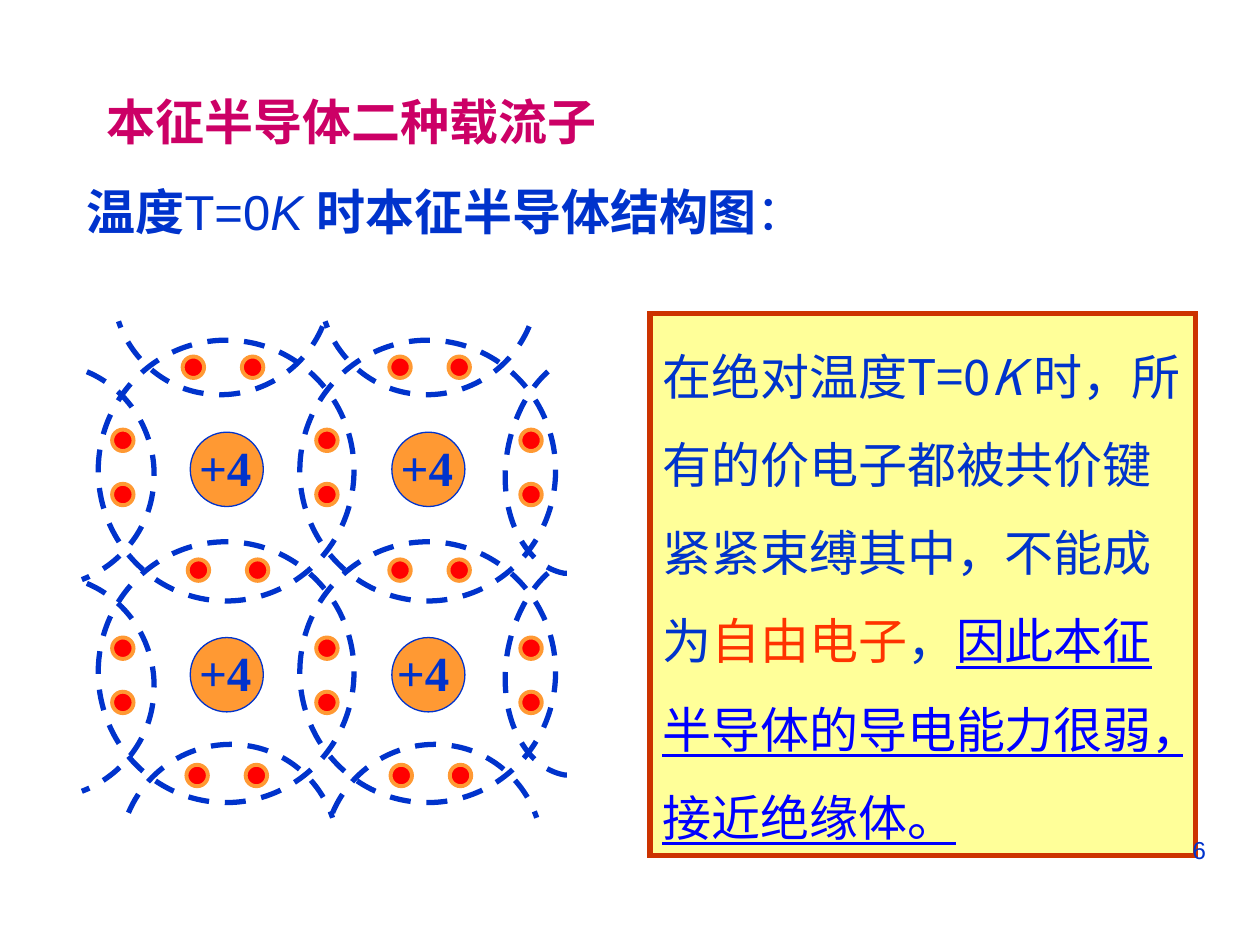
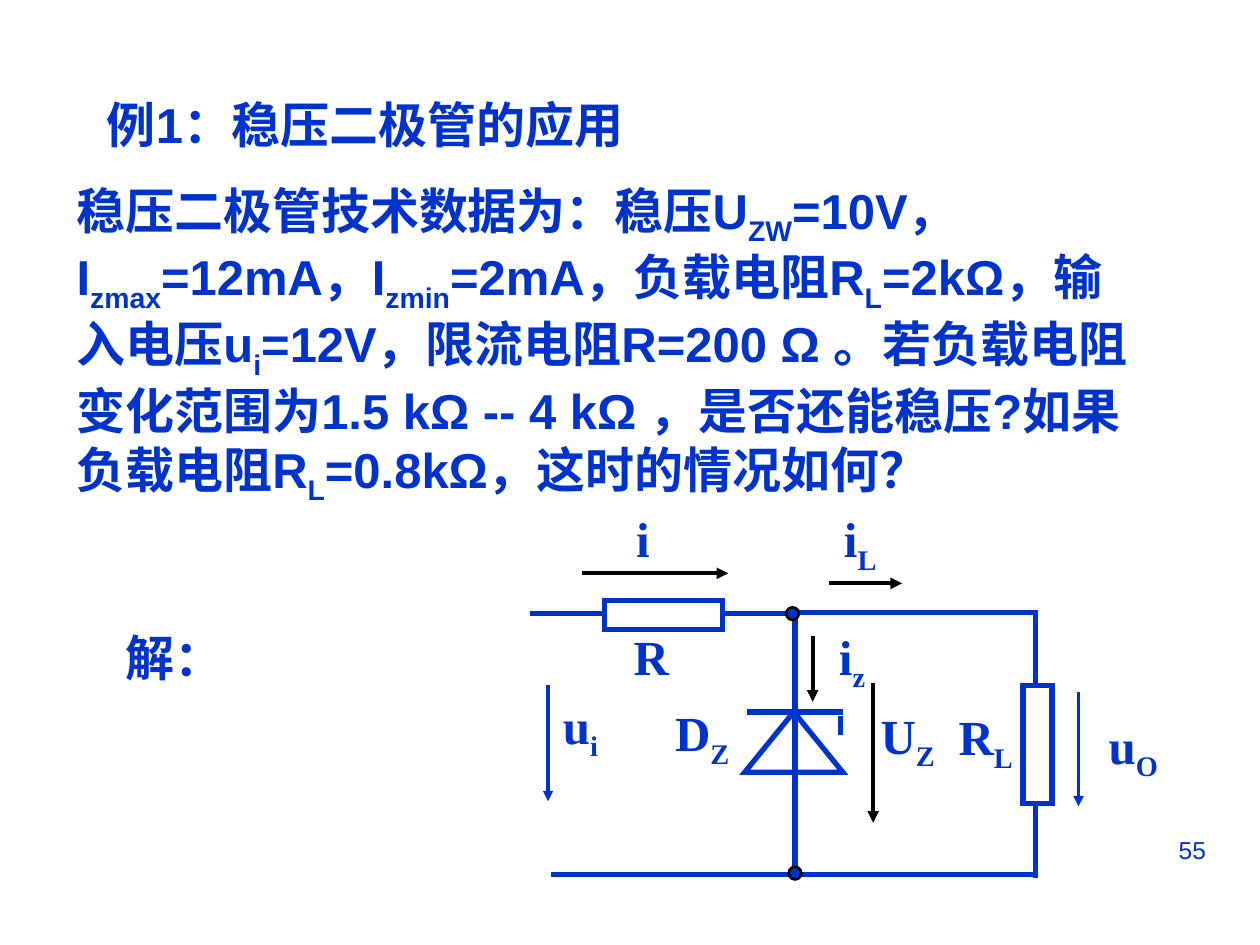
from dataclasses import dataclass
from itertools import product
from math import cos, radians, sin

from lxml.etree import SubElement
from pptx import Presentation
from pptx.dml.color import RGBColor
from pptx.enum.dml import MSO_LINE_DASH_STYLE as Dash
from pptx.enum.shapes import MSO_CONNECTOR, MSO_SHAPE as Shape
from pptx.enum.text import MSO_ANCHOR, MSO_AUTO_SIZE, PP_ALIGN
from pptx.oxml.ns import qn
from pptx.util import Inches, Pt


@dataclass(frozen=True)
class Theme:
    blue: str = "0033CC"
    link: str = "0000FF"
    magenta: str = "CC0066"
    orange: str = "FF9933"
    red: str = "FF0000"
    highlight: str = "FF3300"
    panel: str = "FFFF99"
    panel_border: str = "CC3300"
    black: str = "000000"
    sans: str = "Arial"
    serif: str = "Times New Roman"
    chinese: str = "Noto Sans CJK SC"
    body_size: int = 28
    number_size: int = 14
    thick: float = 3
    medium: float = 2.25
    thin: float = 2


THEME = Theme()

CARRIERS = {
    "number": "6",
    "title": "本征半导体二种载流子",
    "subtitle": [
        ("温度", {"bold": True}),
        ("T=0", {}),
        ("K ", {"italic": True}),
        ("时本征半导体结构图", {"bold": True}),
        ("：", {}),
    ],
    "panel": [
        ("在绝对温度T=0", {}),
        ("K ", {"italic": True}),
        ("时，所有的价电子都被共价键紧紧束缚其中，不能成为", {}),
        ("自由电子", {"color": THEME.highlight}),
        ("，", {}),
        ("因此本征半导体的导电能力很弱，接近绝缘体。",
         {"color": THEME.link, "underline": True}),
    ],
}
BOND_COLUMNS, BOND_ROWS = (0.78, 2.38), (2.7, 4.3)
ATOM_COLUMNS, ATOM_ROWS = (1.51, 3.11), (3.43, 5.06)
CHARGES = [(1.58, 3.47), (3.18, 3.47), (1.58, 5.1), (3.15, 5.1)]
ELECTRON = 0.17
ELECTRON_COLUMNS, ELECTRON_ROWS = (0.89, 2.51, 4.13), (3.41, 3.84, 5.06, 5.49)
ELECTRON_PAIRS = [(1.45, 2.83), (3.09, 2.83), (1.49, 4.44),
                  (3.09, 4.44), (1.48, 6.07), (3.1, 6.07)]
PAIR_GAP = 0.47
EDGE_BONDS = [
    {"turn": 10, "repeat": (0, 1.68), "hub": (0.35, 3.77),
     "curve": [(0.69, 2.95), (1.07, 3.11), (1.28, 3.52), (1.21, 3.92),
               (1.16, 4.23), (0.94, 4.49), (0.65, 4.6)]},
    {"turn": 190, "repeat": (0, 1.6), "hub": (4.64, 3.67),
     "curve": [(4.5, 4.55), (4.49, 4.55), (4.49, 4.55), (4.48, 4.55),
               (4.15, 4.49), (3.94, 4.05), (4.03, 3.56),
               (4.08, 3.3), (4.2, 3.07), (4.37, 2.93)]},
    {"turn": 100, "repeat": (1.64, 0), "hub": (1.76, 2.25),
     "curve": [(2.56, 2.59), (2.4, 2.97), (2, 3.19), (1.6, 3.12),
               (1.3, 3.07), (1.04, 2.85), (0.94, 2.55)]},
    {"turn": 280, "repeat": (1.62, 0), "hub": (1.82, 6.79),
     "curve": [(1.02, 6.45), (1.18, 6.07), (1.58, 5.85), (1.98, 5.92),
               (2.28, 5.97), (2.54, 6.19), (2.64, 6.49)]},
]

ZENER = {
    "number": "55",
    "title": "例1：稳压二极管的应用",
    "problem": "稳压二极管技术数据为：稳压U|ZW|=10V，I|zmax|=12mA，I|zmin|=2mA，"
               "负载电阻R|L|=2kΩ，输入电压u|i|=12V，限流电阻R=200 Ω 。"
               "若负载电阻变化范围为1.5 kΩ -- 4 kΩ ，是否还能稳压?"
               "如果负载电阻R|L|=0.8kΩ，这时的情况如何？",
    "answer": "解：",
}
WIRES = [
    ((4.82, 4.87), (4.21, 4.87)), ((6.34, 4.87), (5.73, 4.87)),
    ((6.31, 4.86), (8.2, 4.86)), ((8.22, 4.84), (8.22, 5.44)),
    ((8.22, 6.36), (8.22, 6.97)), ((8.2, 6.94), (4.37, 6.94)),
    ((6.31, 4.86), (6.31, 6.93)), ((5.93, 5.65), (6.69, 5.65)),
    ((6.67, 5.68), (6.67, 5.83)),
]
VOLTAGE_ARROWS = [((4.35, 5.44), (4.35, 6.36)), ((8.56, 5.49), (8.56, 6.4))]
CURRENT_ARROWS = [
    ((4.62, 4.55), (5.78, 4.55)), ((6.58, 4.63), (7.16, 4.63)),
    ((6.45, 5.05), (6.45, 5.57)), ((6.93, 5.42), (6.93, 6.53)),
]
PARTS = [
    (Shape.RECTANGLE, (5.15, 4.41, 0.23, 0.94), 90),
    (Shape.RECTANGLE, (8.12, 5.44, 0.23, 0.94), 0),
    (Shape.ISOSCELES_TRIANGLE, (5.91, 5.65, 0.78, 0.48), 0),
]
NODES = [(6.24, 4.82), (6.26, 6.88)]
CIRCUIT_LABELS = [
    ("i", 4.95, 3.99, 0.52), ("i|L", 6.6, 3.99, 0.6), ("i|z", 6.56, 4.92, 0.58),
    ("R", 4.93, 4.92, 0.65), ("R|L", 7.51, 5.56, 0.88), ("u|i", 4.37, 5.47, 0.9),
    ("u|O", 8.7, 5.63, 0.73), ("D|Z", 5.26, 5.53, 0.81), ("U|Z", 6.89, 5.55, 0.88),
]


def rgb(color):
    return RGBColor.from_string(color)


def subscripted(text, **style):
    return [(piece, {**style, "subscript": index % 2 == 1})
            for index, piece in enumerate(text.split("|"))]


def write(shape, runs, font=THEME.sans, size=THEME.body_size,
          margins=(0.1, 0.05, 0.1, 0.05), grow=True):
    frame = shape.text_frame
    frame.word_wrap = True
    frame.auto_size = MSO_AUTO_SIZE.SHAPE_TO_FIT_TEXT if grow else MSO_AUTO_SIZE.NONE
    (frame.margin_left, frame.margin_top,
     frame.margin_right, frame.margin_bottom) = map(Inches, margins)
    paragraph = frame.paragraphs[0]
    paragraph.alignment = PP_ALIGN.LEFT
    for text, style in runs:
        run = paragraph.add_run()
        run.text = text
        run.font.name = font
        run.font.size = Pt(size)
        run.font.bold = style.get("bold", False)
        run.font.italic = style.get("italic", False)
        run.font.underline = style.get("underline", False)
        run.font.color.rgb = rgb(style.get("color", THEME.blue))
        properties = run.font._element
        SubElement(properties, qn("a:ea")).set("typeface", THEME.chinese)
        if style.get("subscript"):
            properties.set("baseline", "-25000")
    return paragraph


def add_text(slide, box, runs, **options):
    return write(slide.shapes.add_textbox(*map(Inches, box)), runs, **options)


def paint(shape, fill=None, line=THEME.blue, width=THEME.thick, dashed=False):
    shape.shadow.inherit = False
    if fill:
        shape.fill.solid()
        shape.fill.fore_color.rgb = rgb(fill)
    else:
        shape.fill.background()
    shape.line.color.rgb = rgb(line)
    shape.line.width = Pt(width)
    if dashed:
        shape.line.dash_style = Dash.DASH
    SubElement(shape.line._get_or_add_ln(), qn("a:miter")).set("lim", "800000")


def add_part(slide, kind, box, **look):
    shape = slide.shapes.add_shape(kind, *map(Inches, box))
    paint(shape, **look)
    return shape


def add_line(slide, ends, color=THEME.blue, width=THEME.thick, arrow=False):
    (x1, y1), (x2, y2) = ends
    line = slide.shapes.add_connector(
        MSO_CONNECTOR.STRAIGHT, *map(Inches, (x1, y1, x2, y2)))
    line.line.color.rgb = rgb(color)
    line.line.width = Pt(width)
    if arrow:
        SubElement(line.line._get_or_add_ln(), qn("a:tailEnd")).set("type", "triangle")
    SubElement(line._element.spPr, qn("a:effectLst"))


def rotate(point, degrees):
    x, y = point
    cosine, sine = cos(radians(degrees)), sin(radians(degrees))
    return x * cosine - y * sine, x * sine + y * cosine


def add_edge_bond(slide, bond, shift):
    outline = [rotate((x + shift[0], y + shift[1]), -bond["turn"])
               for x, y in bond["curve"] + [bond["hub"]]]
    points = [(Inches(x), Inches(y)) for x, y in outline]
    builder = slide.shapes.build_freeform(*points[0])
    builder.add_line_segments(points[1:], close=False)
    shape = builder.convert_to_shape()
    center = (shape.left + shape.width / 2, shape.top + shape.height / 2)
    x, y = rotate(center, bond["turn"])
    shape.left, shape.top = round(x - shape.width / 2), round(y - shape.height / 2)
    shape.rotation = bond["turn"]
    outline_path = next(shape._element.iter(qn("a:path")))
    *controls, hub = outline_path.findall(qn("a:lnTo"))
    outline_path.remove(hub)
    for start in range(0, len(controls), 3):
        curve = SubElement(outline_path, qn("a:cubicBezTo"))
        for control in controls[start:start + 3]:
            curve.append(control[0])
            outline_path.remove(control)
    paint(shape, dashed=True)


def start_slide(presentation, content, box, color):
    slide = presentation.slides.add_slide(presentation.slide_layouts[6])
    add_text(slide, box, [(content["title"], {"bold": True, "color": color})])
    return slide


def add_number(slide, content):
    number = add_text(slide, (7.17, 6.58, 2.5, 0.52), [(content["number"], {})],
                      size=THEME.number_size, grow=False)
    number.alignment = PP_ALIGN.RIGHT


def build_carriers(presentation):
    slide = start_slide(presentation, CARRIERS, (0.75, 0.68, 4.66, 0.63), THEME.magenta)
    add_text(slide, (0.59, 1.39, 6.75, 0.63), CARRIERS["subtitle"])
    for y, x in product(BOND_ROWS, BOND_COLUMNS):
        add_part(slide, Shape.OVAL, (x, y, 2.03, 2.07), dashed=True)
    for y, x in product(ATOM_ROWS, ATOM_COLUMNS):
        add_part(slide, Shape.OVAL, (x, y, 0.58, 0.59), fill=THEME.orange, width=0.75)
    for x, y in CHARGES:
        add_text(slide, (x, y, 0.58, 0.47), [("+4", {"bold": True})],
                 font=THEME.serif, margins=(0, 0, 0, 0))
    for bond in EDGE_BONDS:
        for shift in ((0, 0), bond["repeat"]):
            add_edge_bond(slide, bond, shift)
    electrons = list(product(ELECTRON_COLUMNS, ELECTRON_ROWS))
    electrons += [(x + gap, y) for x, y in ELECTRON_PAIRS for gap in (0, PAIR_GAP)]
    for x, y in electrons:
        add_part(slide, Shape.OVAL, (x, y, ELECTRON, ELECTRON),
                 fill=THEME.red, line=THEME.orange, width=THEME.medium)
    panel = add_part(slide, Shape.RECTANGLE, (5.16, 2.49, 4.33, 4.3),
                     fill=THEME.panel, line=THEME.panel_border)
    paragraph = write(panel, CARRIERS["panel"], font=THEME.chinese,
                      margins=(0.1, 0, 0.1, 0.05))
    paragraph.line_spacing = 1.5
    panel.text_frame.vertical_anchor = MSO_ANCHOR.MIDDLE
    add_number(slide, CARRIERS)


def build_zener(presentation):
    slide = start_slide(presentation, ZENER, (0.75, 0.7, 4.91, 0.63), THEME.blue)
    add_number(slide, ZENER)
    add_text(slide, (0.51, 1.38, 8.66, 2.46), subscripted(ZENER["problem"], bold=True))
    for kind, box, turn in PARTS:
        add_part(slide, kind, box).rotation = turn
    for ends in WIRES:
        add_line(slide, ends)
    for ends in VOLTAGE_ARROWS:
        add_line(slide, ends, width=THEME.thin, arrow=True)
    for ends in CURRENT_ARROWS:
        add_line(slide, ends, color=THEME.black, width=THEME.medium, arrow=True)
    for x, y in NODES:
        add_part(slide, Shape.OVAL, (x, y, 0.1, 0.1),
                 fill=THEME.blue, line=THEME.black, width=1.5)
    for text, x, y, width in CIRCUIT_LABELS:
        add_text(slide, (x, y, width, 0.63), subscripted(text, bold=True),
                 font=THEME.serif)
    add_text(slide, (0.9, 4.93, 1.18, 0.63), [(ZENER["answer"], {"bold": True})])


def main():
    presentation = Presentation()
    presentation.slide_width, presentation.slide_height = Inches(10), Inches(7.5)
    build_carriers(presentation)
    build_zener(presentation)
    presentation.save("out.pptx")


if __name__ == "__main__":
    main()
